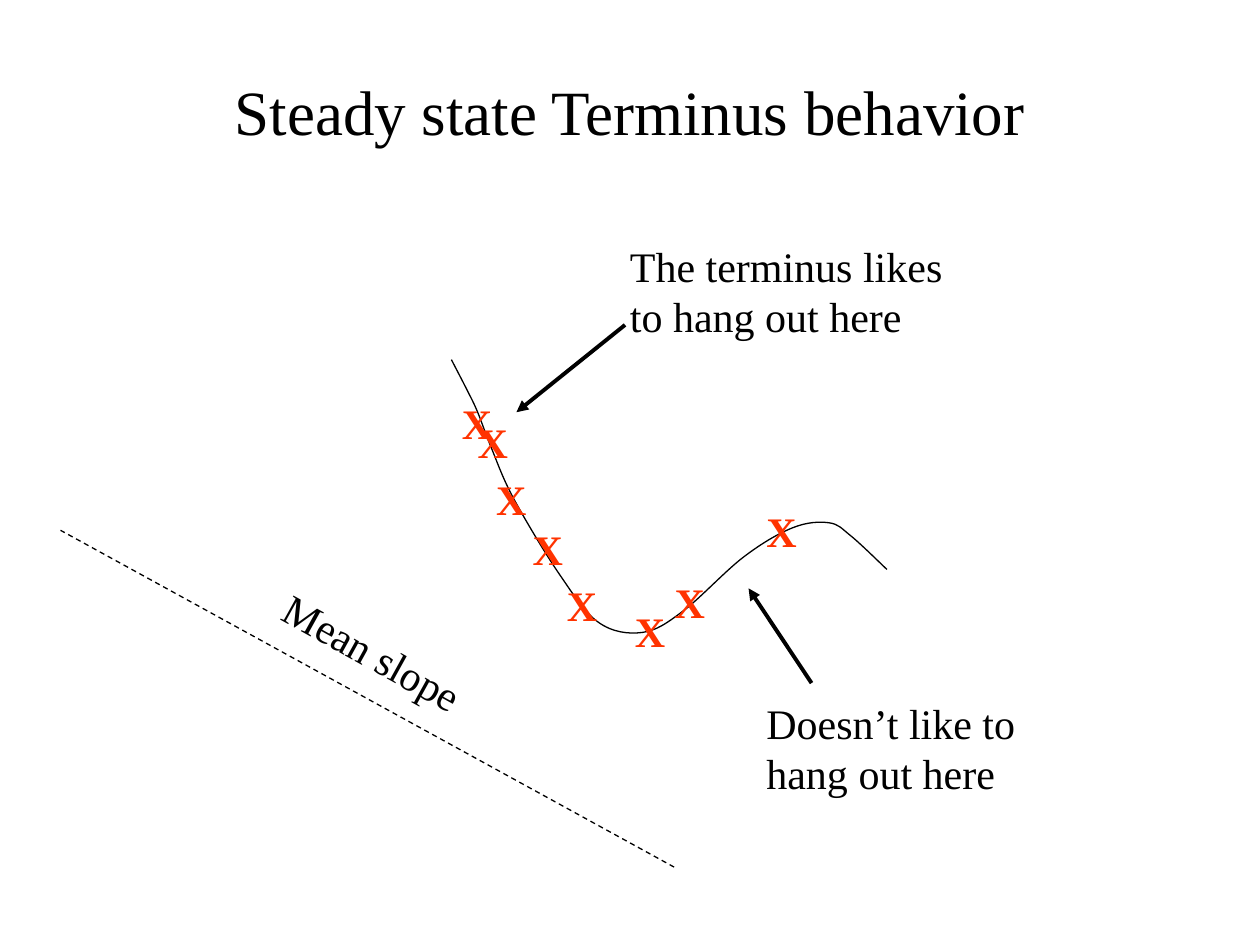
from dataclasses import dataclass

from lxml import etree
from pptx import Presentation
from pptx.dml.color import RGBColor
from pptx.enum.dml import MSO_LINE
from pptx.enum.shapes import MSO_CONNECTOR
from pptx.enum.text import MSO_ANCHOR, MSO_AUTO_SIZE, PP_ALIGN
from pptx.oxml.ns import qn
from pptx.slide import Slide
from pptx.util import Cm, Pt

BLACK = RGBColor(0x00, 0x00, 0x00)
ORANGE_RED = RGBColor(0xFF, 0x33, 0x00)
FONT = "Times New Roman"
STRAIGHT = MSO_CONNECTOR.STRAIGHT
DASH = MSO_LINE.DASH
LEFT, CENTER = PP_ALIGN.LEFT, PP_ALIGN.CENTER
TOP, MIDDLE = MSO_ANCHOR.TOP, MSO_ANCHOR.MIDDLE
FIT_SHAPE = MSO_AUTO_SIZE.SHAPE_TO_FIT_TEXT
BLANK_LAYOUT = 6

Point = tuple[float, float]


@dataclass(frozen=True)
class Label:
    """Text with its box in centimetres."""
    lines: tuple[str, ...]
    left: float
    top: float
    width: float
    height: float
    size: int = 24
    color: RGBColor = BLACK
    bold: bool = False
    rotation: float = 0


@dataclass(frozen=True)
class Line:
    """Straight line between two points in centimetres."""
    start: Point
    end: Point
    width: float
    dashed: bool = False
    arrow: bool = False


TITLE = Label(("Steady state Terminus behavior",), 1.9, 0.64, 21.6, 3.18, size=36)
NOTES = (
    Label(("The terminus likes", "to hang out here"), 12.45, 4.72, 7.01, 2.29),
    Label(("Doesn’t like to", "hang out here"), 15.2, 13.93, 5.74, 2.29),
)
SLOPE_NAME = Label(("Mean slope",), 5.3, 12.52, 4.46, 1.27, rotation=29)
MEAN_SLOPE = Line((13.59, 17.48), (1.22, 10.69), 0.75, dashed=True)
ARROWS = (
    Line((16.36, 13.77), (15.09, 11.86), 2.25, arrow=True),
    Line((12.6, 6.55), (10.41, 8.31), 2.25, arrow=True),
)
MARK_CORNERS = (
    (9.06, 7.89), (13.35, 11.49), (9.38, 8.27), (9.75, 9.43),
    (10.49, 10.43), (11.18, 11.56), (12.55, 12.08), (15.2, 10.06),
)
BED_KNOTS = (
    (9.1, 7.25), (9.42, 7.87), (9.63, 8.31), (9.91, 9.04), (10.36, 10.06),
    (11.28, 11.58), (12.07, 12.55), (12.95, 12.75), (13.77, 12.32),
    (14.99, 11.23), (15.98, 10.64), (16.71, 10.54), (17.15, 10.8), (17.88, 11.48),
)


def add_label(slide: Slide, label: Label, align: PP_ALIGN = LEFT,
              anchor: MSO_ANCHOR = TOP, wrap: bool = False) -> None:
    shape = slide.shapes.add_textbox(
        Cm(label.left), Cm(label.top), Cm(label.width), Cm(label.height))
    shape.rotation = label.rotation
    frame = shape.text_frame
    frame.word_wrap = wrap
    frame.vertical_anchor = anchor
    if not wrap:
        frame.auto_size = FIT_SHAPE
    for index, text in enumerate(label.lines):
        paragraph = frame.add_paragraph() if index else frame.paragraphs[0]
        paragraph.alignment = align
        run = paragraph.add_run()
        run.text = text
        run.font.name = FONT
        run.font.size = Pt(label.size)
        run.font.bold = label.bold
        run.font.color.rgb = label.color


def add_line(slide: Slide, line: Line) -> None:
    connector = slide.shapes.add_connector(
        STRAIGHT, *(Cm(value) for value in line.start + line.end))
    connector.line.color.rgb = BLACK
    connector.line.width = Pt(line.width)
    if line.dashed:
        connector.line.dash_style = DASH
    if line.arrow:
        outline = connector.line._get_or_add_ln()
        etree.SubElement(outline, qn("a:tailEnd"), type="triangle")
    etree.SubElement(connector._element.spPr, qn("a:effectLst"))


def smooth_outline(outline: etree._Element) -> None:
    """Turn the straight segments of a path into Catmull-Rom curves."""
    knots = [(int(point.get("x")), int(point.get("y")))
             for point in outline.iter(qn("a:pt"))]
    for segment in outline.findall(qn("a:lnTo")):
        outline.remove(segment)
    padded = (knots[0], *knots, knots[-1])
    for before, start, end, after in zip(padded, padded[1:], padded[2:], padded[3:]):
        leave = [s + (e - b) / 6 for b, s, e in zip(before, start, end)]
        arrive = [e - (a - s) / 6 for s, e, a in zip(start, end, after)]
        curve = etree.SubElement(outline, qn("a:cubicBezTo"))
        for x, y in (leave, arrive, end):
            etree.SubElement(curve, qn("a:pt"), x=str(round(x)), y=str(round(y)))


def add_bed(slide: Slide) -> None:
    start, *rest = [(Cm(x), Cm(y)) for x, y in BED_KNOTS]
    builder = slide.shapes.build_freeform(*start)
    builder.add_line_segments(rest, close=False)
    shape = builder.convert_to_shape()
    smooth_outline(next(shape._element.iter(qn("a:path"))))
    shape.shadow.inherit = False
    shape.fill.background()
    shape.line.color.rgb = BLACK
    shape.line.width = Pt(0.75)


def main() -> None:
    presentation = Presentation()
    presentation.slide_width, presentation.slide_height = Cm(25.4), Cm(19.05)
    slide = presentation.slides.add_slide(presentation.slide_layouts[BLANK_LAYOUT])

    add_label(slide, TITLE, CENTER, MIDDLE, wrap=True)
    add_bed(slide)
    add_line(slide, MEAN_SLOPE)
    marks = [Label(("X",), left, top, 1.12, 1.27, color=ORANGE_RED, bold=True)
             for left, top in MARK_CORNERS]
    for label in (*marks[:2], *NOTES, *marks[2:]):
        add_label(slide, label)
    for arrow in ARROWS:
        add_line(slide, arrow)
    add_label(slide, SLOPE_NAME)

    presentation.save("out.pptx")


if __name__ == "__main__":
    main()
